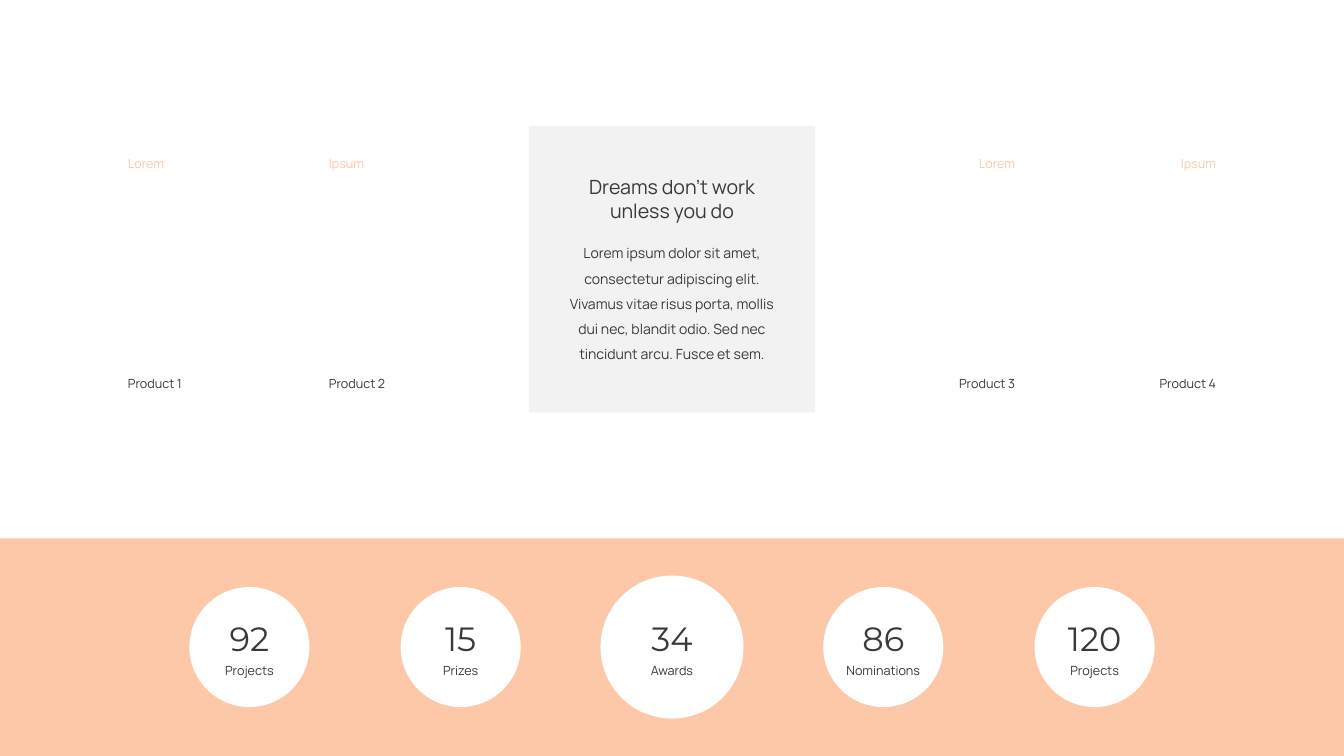
import pptx
import pptx.dml.color
import pptx.enum.shapes
import pptx.enum.text
import pptx.util

Cm = pptx.util.Cm
RGBColor = pptx.dml.color.RGBColor
Shape = pptx.enum.shapes.MSO_SHAPE
Align = pptx.enum.text.PP_ALIGN

PEACH = RGBColor(0xFC, 0xC8, 0xA8)
WHITE = RGBColor(0xFF, 0xFF, 0xFF)
GREY = RGBColor(0xF2, 0xF2, 0xF2)
INK = RGBColor(0x3B, 0x38, 0x38)

WIDTH, HEIGHT = 67.74, 38.1
MIDDLE = WIDTH / 2
BAND_TOP = 27.13
PANEL = 14.43
LABEL_WIDTH, LABEL_HEIGHT = 4.9, 1.27
CIRCLE_STEP, CIRCLE_MIDDLE = 10.65, 32.61

PRODUCTS = [
    ("Lorem", "Product 1", 6.2, Align.LEFT),
    ("Ipsum", "Product 2", 16.33, Align.LEFT),
    ("Lorem", "Product 3", WIDTH - 16.33 - LABEL_WIDTH, Align.RIGHT),
    ("Ipsum", "Product 4", WIDTH - 6.2 - LABEL_WIDTH, Align.RIGHT),
]
FIGURES = [
    ("92", "Projects", 6.05),
    ("15", "Prizes", 6.05),
    ("34", "Awards", 7.21),
    ("86", "Nominations", 6.05),
    ("120", "Projects", 6.05),
]


class Painter:
    """Hold the text styles and the current slide, and draw elements on it."""

    styles = {
        "title": {"size": 28, "name": "Manrope", "spacing": 1.0},
        "body": {"size": 20, "name": "Manrope", "spacing": 1.5},
        "label": {"size": 18, "name": "Manrope", "spacing": 1.5},
        "number": {"size": 48, "name": "Montserrat", "spacing": 1.0},
    }

    def __init__(self, page):
        self.page = page

    def shape(self, kind, left, top, width, height, color):
        shape = self.page.shapes.add_shape(kind, Cm(left), Cm(top), Cm(width), Cm(height))
        shape.shadow.inherit = False
        shape.fill.solid()
        shape.fill.fore_color.rgb = color
        shape.line.fill.background()

    def circle(self, center, middle, size, color):
        self.shape(Shape.OVAL, center - size / 2, middle - size / 2, size, size, color)

    def text(self, words, style, left, top, width, height, color=INK, align=Align.CENTER):
        look = self.styles[style]
        box = self.page.shapes.add_textbox(Cm(left), Cm(top), Cm(width), Cm(height))
        frame = box.text_frame
        frame.word_wrap = True
        frame.auto_size = pptx.enum.text.MSO_AUTO_SIZE.SHAPE_TO_FIT_TEXT
        para = frame.paragraphs[0]
        for name, value in {"alignment": align, "line_spacing": look["spacing"]}.items():
            setattr(para, name, value)
        span = para.add_run()
        span.text = words
        span.font.color.rgb = color
        for name, value in {"size": pptx.util.Pt(look["size"]), "name": look["name"]}.items():
            setattr(span.font, name, value)

    def centered(self, words, style, center, top, width, height):
        self.text(words, style, center - width / 2, top, width, height)


def main():
    deck = pptx.Presentation()
    deck.slide_width, deck.slide_height = Cm(WIDTH), Cm(HEIGHT)
    painter = Painter(deck.slides.add_slide(deck.slide_layouts[6]))

    painter.shape(Shape.RECTANGLE, 0, BAND_TOP, WIDTH, HEIGHT - BAND_TOP, PEACH)
    painter.shape(Shape.RECTANGLE, MIDDLE - PANEL / 2, 6.35, PANEL, PANEL, GREY)
    painter.centered("Dreams don’t work unless you do", "title", MIDDLE, 8.69, 10.26, 2.64)
    painter.centered(
        "Lorem ipsum dolor sit amet, consectetur adipiscing elit. Vivamus vitae risus porta, "
        "mollis dui nec, blandit odio. Sed nec tincidunt arcu. Fusce et sem.",
        "body", MIDDLE, 11.79, 11.23, 6.68)

    for category, product, left, align in PRODUCTS:
        for words, top, color in ((category, 7.34, PEACH), (product, 18.44, INK)):
            painter.text(words, "label", left, top, LABEL_WIDTH, LABEL_HEIGHT, color, align)

    for index, (number, label, size) in enumerate(FIGURES):
        center = MIDDLE + (index - 2) * CIRCLE_STEP
        painter.circle(center, CIRCLE_MIDDLE, size, WHITE)
        painter.centered(number, "number", center, 31.04, 4.3, 2.31)
        painter.centered(label, "label", center, 32.92, LABEL_WIDTH, LABEL_HEIGHT)

    deck.save("out.pptx")


if __name__ == "__main__":
    main()
